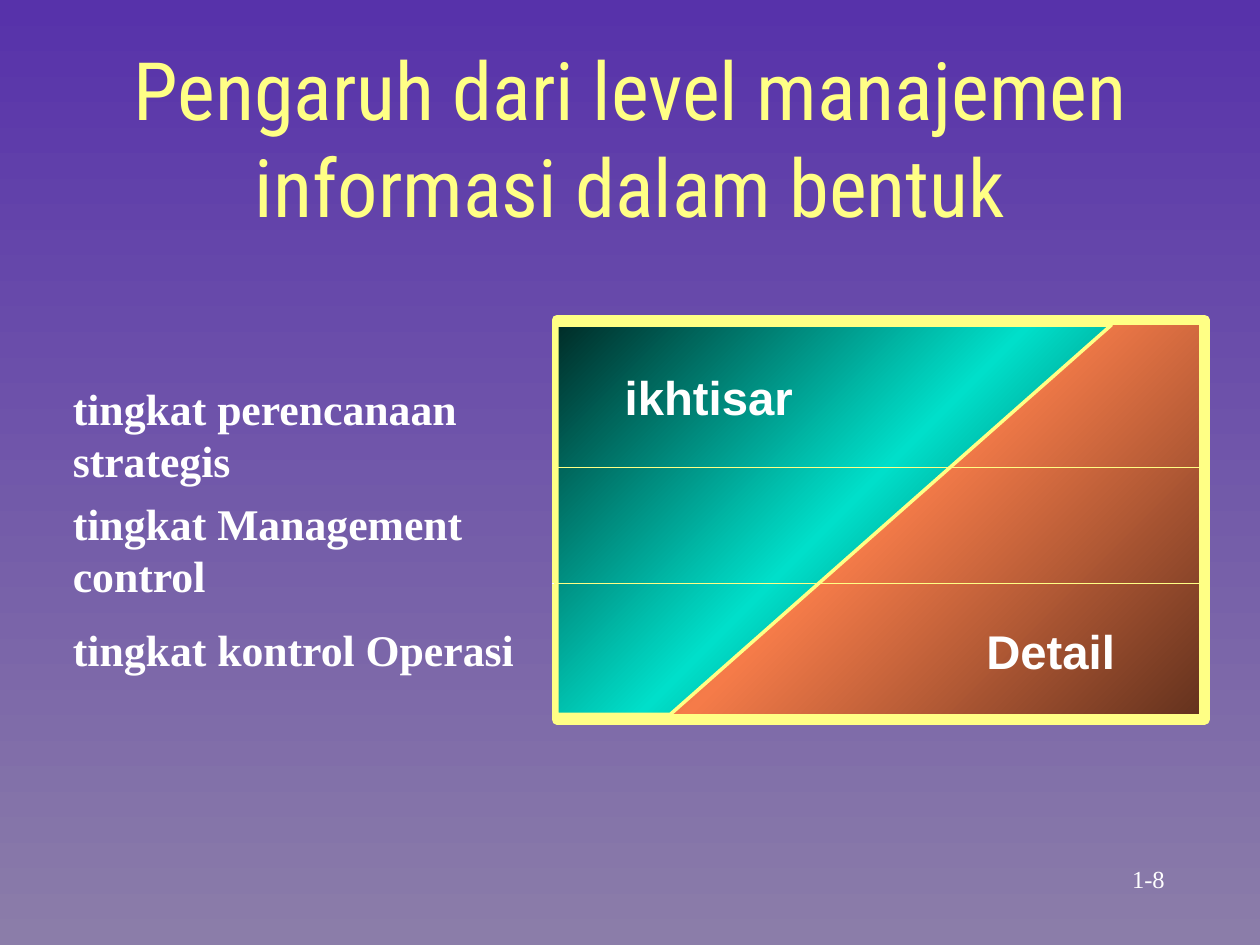
from lxml.etree import SubElement
from pptx import Presentation
from pptx.dml.color import RGBColor
from pptx.enum.shapes import MSO_CONNECTOR as Connector, MSO_SHAPE as Shape
from pptx.enum.text import MSO_ANCHOR as Anchor, PP_ALIGN as Align
from pptx.oxml.ns import qn
from pptx.util import Inches, Pt

COLUMNS, ROWS = 100, 75
CELL = Inches(0.1)
COLORS = {
    "sky": "5732AA", "haze": "8B7DA9", "yellow": "FFFF85", "white": "FFFFFF",
    "brown": "62311D", "orange": "F57B49", "pine": "002D28", "teal": "00DFCA",
}
LEVELS = [
    ("tingkat perencanaan strategis", 29.8, 37),
    ("tingkat Management control", 38.9, 40.7),
    ("tingkat kontrol Operasi", 48.9, 39.2),
]
DIVIDERS = [(37.1, 44, 77.2), (46.3, 43.8, 67)]


def grid(*cells):
    """Turn grid columns and rows into lengths."""
    return [round(cell * CELL) for cell in cells]


def color(name):
    return RGBColor.from_string(COLORS[name])


def fill_gradient(owner, fill, names, degrees):
    """Spread the named colours evenly, at a clockwise angle."""
    fill.gradient()
    gradient = owner.find(".//" + qn("a:gradFill"))
    stops = gradient.find(qn("a:gsLst"))
    for stop in list(stops):
        stops.remove(stop)
    for index, name in enumerate(names):
        position = round(100000 * index / (len(names) - 1))
        stop = SubElement(stops, qn("a:gs"), pos=str(position))
        SubElement(stop, qn("a:srgbClr"), val=COLORS[name])
    gradient.find(qn("a:lin")).set("ang", str(degrees * 60000))


def style_area(shape, names, line_width):
    shape.shadow.inherit = False
    fill_gradient(shape.element, shape.fill, names, 45)
    shape.line.color.rgb = color("yellow")
    shape.line.width = Pt(line_width)


def add_text(slide, text, place, size, font="Times New Roman", ink="white",
             bold=False, align=Align.LEFT, anchor=Anchor.TOP):
    box = slide.shapes.add_textbox(*grid(*place))
    frame = box.text_frame
    frame.word_wrap = True
    frame.vertical_anchor = anchor
    para = frame.paragraphs[0]
    para.alignment = align
    span = para.add_run()
    span.text = text
    span.font.name, span.font.size, span.font.bold = font, Pt(size), bold
    span.font.color.rgb = color(ink)


def add_divider(slide, row, start, end, ink):
    line = slide.shapes.add_connector(
        Connector.STRAIGHT, *grid(start, row, end, row))
    line.line.color.rgb = color(ink)
    line.line.width = Pt(1)
    SubElement(line.element.spPr, qn("a:effectLst"))


def add_summary_area(slide):
    corners = [(44.2, 25.8), (88.2, 25.8), (53.2, 56.7), (44.2, 56.7)]
    start, *others = [grid(*corner) for corner in corners]
    builder = slide.shapes.build_freeform(*start)
    builder.add_line_segments(others, close=True)
    style_area(builder.convert_to_shape(), ["pine", "teal", "pine"], 2)


def main():
    deck = Presentation()
    deck.slide_width, deck.slide_height = grid(COLUMNS, ROWS)
    page = deck.slides.add_slide(deck.slide_layouts[6])
    fill_gradient(page.element, page.background.fill, ["sky", "haze"], 90)

    add_text(page, "Pengaruh dari level manajemen informasi dalam bentuk",
             (7.5, 4.2, 85, 13.3), 46, font="Roboto Condensed", ink="yellow",
             align=Align.CENTER, anchor=Anchor.MIDDLE)
    for text, row, width in LEVELS:
        add_text(page, text, (4.8, row, width, 5.2), 25, bold=True)

    detail_area = page.shapes.add_shape(
        Shape.RECTANGLE, *grid(44.2, 25.4, 51.4, 31.7))
    style_area(detail_area, ["brown", "orange", "brown"], 6)
    add_summary_area(page)
    for row, start, end in DIVIDERS:
        add_divider(page, row, start, end, "white")
        add_divider(page, row, 44, 96, "yellow")

    add_text(page, "ikhtisar", (48.6, 28.7, 19.2, 5.5), 27,
             font="Arial", bold=True)
    add_text(page, "Detail", (77.3, 48.9, 12.3, 5.5), 27,
             font="Arial", bold=True)
    add_text(page, "1-8", (88.8, 68, 4.7, 3.4), 14,
             align=Align.CENTER, anchor=Anchor.MIDDLE)
    deck.save("out.pptx")


if __name__ == "__main__":
    main()
